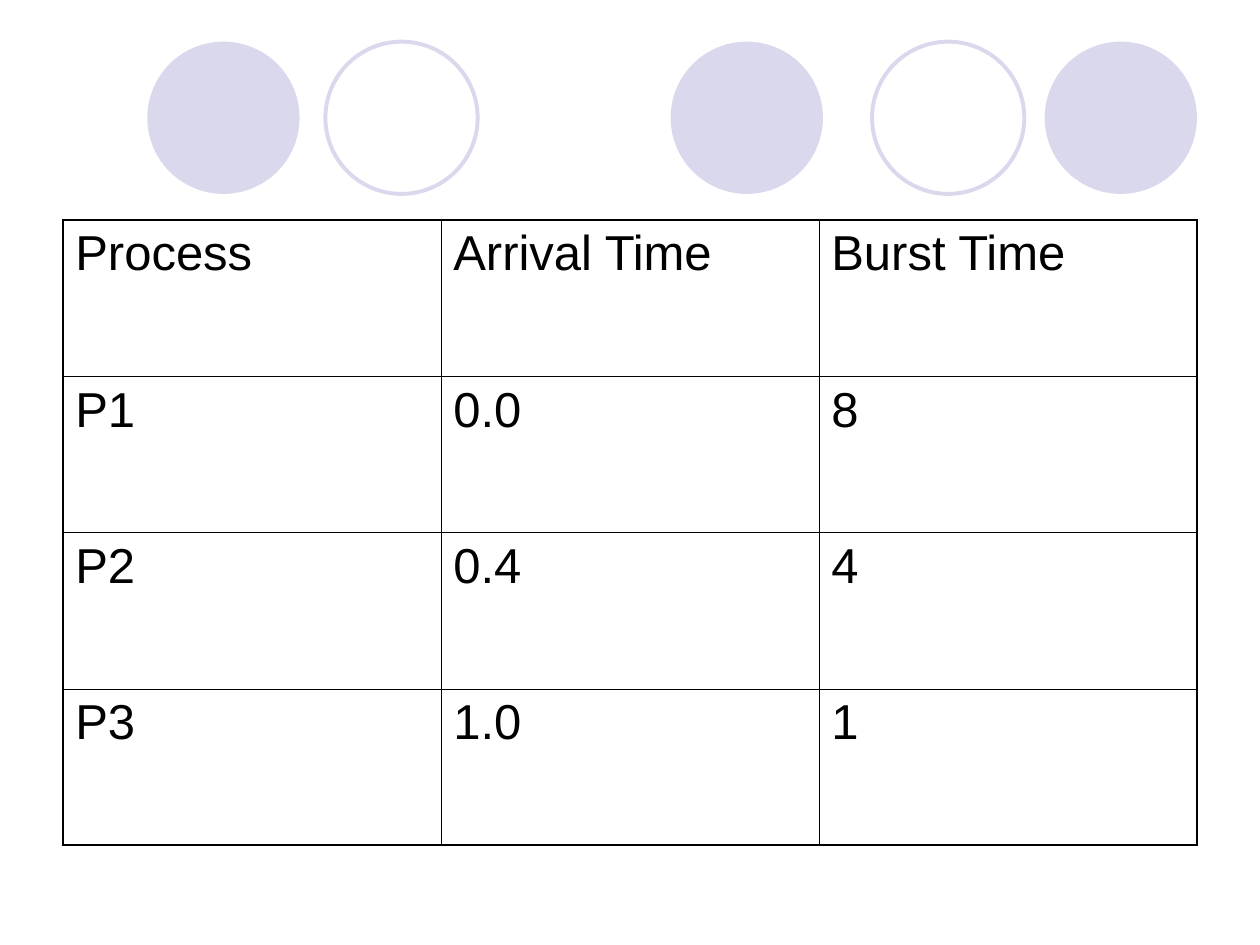
import pptx
import pptx.dml.color
import pptx.enum.shapes
import pptx.oxml
import pptx.oxml.ns
import pptx.util
from pptx.util import Cm, Pt

ROWS = [
    ("Process", "Arrival Time", "Burst Time"),
    ("P1", "0.0", "8"),
    ("P2", "0.4", "4"),
    ("P3", "1.0", "1"),
]
CIRCLES = [
    (2.97, True),
    (6.56, False),
    (13.52, True),
    (17.58, False),
    (21.06, True),
]
CIRCLE_TOP, CIRCLE_SIZE = 0.84, 3.07
TABLE_LEFT, TABLE_TOP = 1.27, 4.44
COL_WIDTH, ROW_HEIGHT = 7.62, 3.15
LILAC, BLACK = "D9D8EC", "000000"
OUTER, INNER = 1.08, 0.45


def rgb(color):
    return pptx.dml.color.RGBColor.from_string(color)


def add_circle(s, left, filled):
    sp = s.shapes.add_shape(
        pptx.enum.shapes.MSO_SHAPE.OVAL,
        Cm(left), Cm(CIRCLE_TOP), Cm(CIRCLE_SIZE), Cm(CIRCLE_SIZE))
    sp.shadow.inherit = False
    if filled:
        sp.fill.solid()
        sp.fill.fore_color.rgb = rgb(LILAC)
        sp.line.fill.background()
    else:
        sp.fill.background()
        sp.line.color.rgb = rgb(LILAC)
        sp.line.width = Pt(2.25)


def set_borders(cell, widths):
    tc_pr = cell._tc.get_or_add_tcPr()
    for side, width in widths.items():
        tc_pr.append(pptx.oxml.parse_xml(
            f'<a:ln{side} {pptx.oxml.ns.nsdecls("a")} w="{Pt(width)}">'
            f'<a:solidFill><a:srgbClr val="{BLACK}"/></a:solidFill>'
            f'</a:ln{side}>'))


def fill_cell(cell, text):
    cell.fill.background()
    cell.margin_left = cell.margin_right = Cm(0.25)
    cell.margin_top = cell.margin_bottom = Cm(0.13)
    p = cell.text_frame.paragraphs[0]
    p.space_before = Pt(7)
    r = p.add_run()
    r.text = text
    r.font.name = "Arial"
    r.font.size = Pt(28)
    r.font.bold = False
    r.font.color.rgb = rgb(BLACK)


def add_process_table(s):
    n_rows, n_cols = len(ROWS), len(ROWS[0])
    table = s.shapes.add_table(
        n_rows, n_cols, Cm(TABLE_LEFT), Cm(TABLE_TOP),
        Cm(COL_WIDTH * n_cols), Cm(ROW_HEIGHT * n_rows)).table
    table.first_row = table.horz_banding = False
    for col in table.columns:
        col.width = Cm(COL_WIDTH)
    for i, values in enumerate(ROWS):
        table.rows[i].height = Cm(ROW_HEIGHT)
        for j, text in enumerate(values):
            cell = table.cell(i, j)
            set_borders(cell, {
                "L": OUTER if j == 0 else INNER,
                "R": OUTER if j == n_cols - 1 else INNER,
                "T": OUTER if i == 0 else INNER,
                "B": OUTER if i == n_rows - 1 else INNER,
            })
            fill_cell(cell, text)


def main():
    prs = pptx.Presentation()
    prs.slide_width, prs.slide_height = Cm(25.4), Cm(19.05)
    s = prs.slides.add_slide(prs.slide_layouts[6])
    for left, filled in CIRCLES:
        add_circle(s, left, filled)
    add_process_table(s)
    prs.save("out.pptx")


if __name__ == "__main__":
    main()
